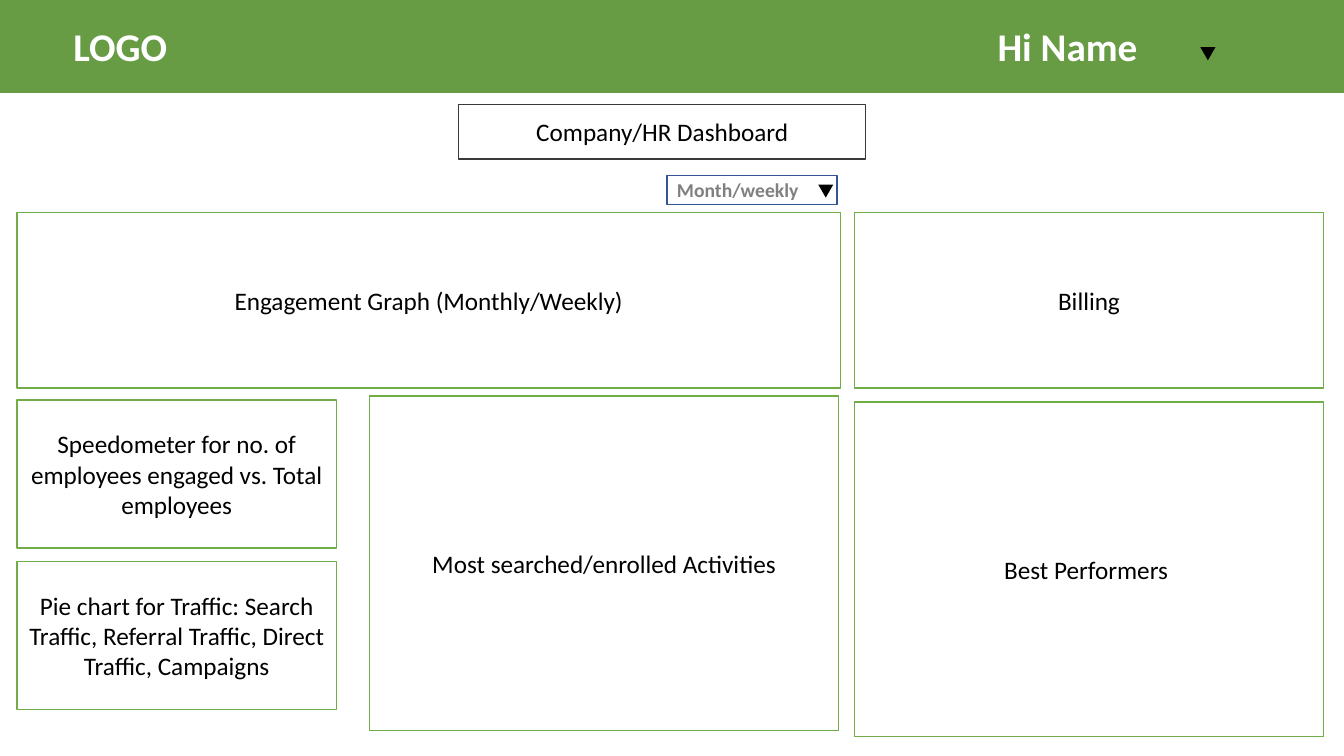
"""Build the wireframe slide of a company and HR dashboard."""
from dataclasses import dataclass

from pptx import Presentation
from pptx.dml.color import RGBColor
from pptx.enum.shapes import MSO_SHAPE
from pptx.enum.text import MSO_ANCHOR, MSO_AUTO_SIZE, PP_ALIGN
from pptx.shapes.autoshape import Shape
from pptx.slide import Slide
from pptx.util import Cm, Pt

RECTANGLE = MSO_SHAPE.RECTANGLE
TRIANGLE = MSO_SHAPE.ISOSCELES_TRIANGLE
MIDDLE = MSO_ANCHOR.MIDDLE
FIT_SHAPE = MSO_AUTO_SIZE.SHAPE_TO_FIT_TEXT
LEFT, CENTER = PP_ALIGN.LEFT, PP_ALIGN.CENTER


@dataclass(frozen=True)
class Theme:
    """Colours, font and type sizes of the slide."""

    font: str = "Calibri"
    banner: str = "689C44"
    panel_line: str = "70AD47"
    title_line: str = "3B3838"
    picker_line: str = "325491"
    white: str = "FFFFFF"
    black: str = "000000"
    grey: str = "808080"
    banner_size: int = 28
    body_size: int = 18
    picker_size: int = 14
    line_width: int = 1


THEME = Theme()


@dataclass(frozen=True)
class Box:
    """A position and size in centimetres."""

    left: float
    top: float
    width: float
    height: float

    def lengths(self) -> tuple[Cm, Cm, Cm, Cm]:
        """Return the four measures as lengths."""
        return Cm(self.left), Cm(self.top), Cm(self.width), Cm(self.height)


@dataclass(frozen=True)
class Panel:
    """An outlined box with one line of meaning in it."""

    text: str
    box: Box
    line: str = THEME.panel_line
    size: int = THEME.body_size
    color: str = THEME.black
    bold: bool = False
    align: PP_ALIGN = CENTER


SLIDE_WIDTH, SLIDE_HEIGHT = 33.87, 19.05
BANNER = Box(0, 0, SLIDE_WIDTH, 2.34)
BANNER_LABELS = {"LOGO": 1.6, "Hi Name": 24.89}
LABEL_TOP, LABEL_WIDTH, LABEL_HEIGHT = 0.43, 5.11, 1.45
ARROWS = (Box(30.25, 1.19, 0.38, 0.33), Box(20.62, 4.65, 0.38, 0.33))

MARGIN, RIGHT_COLUMN = 0.43, 21.54
TOP_ROW, TOP_HEIGHT = 5.36, 4.42
WIDE, TALL = 11.81, 8.43
GAUGE_WIDTH, GAUGE_HEIGHT = 8.05, 3.73

PANELS = (
    Panel("Company/HR Dashboard", Box(11.56, 2.64, 10.26, 1.37), THEME.title_line),
    Panel("Engagement Graph (Monthly/Weekly)", Box(MARGIN, TOP_ROW, 20.75, TOP_HEIGHT)),
    Panel("Month/weekly", Box(16.81, 4.42, 4.29, 0.74), THEME.picker_line,
          THEME.picker_size, THEME.grey, True, LEFT),
    Panel("Speedometer for no. of employees engaged vs. Total employees",
          Box(MARGIN, 10.08, GAUGE_WIDTH, GAUGE_HEIGHT)),
    Panel("Most searched/enrolled Activities", Box(9.32, 9.98, WIDE, TALL)),
    Panel("Best Performers ", Box(RIGHT_COLUMN, 10.13, WIDE, TALL)),
    Panel("Pie chart for Traffic: Search Traffic, Referral Traffic, "
          "Direct Traffic, Campaigns", Box(MARGIN, 14.15, GAUGE_WIDTH, GAUGE_HEIGHT)),
    Panel("Billing", Box(RIGHT_COLUMN, TOP_ROW, WIDE, TOP_HEIGHT)),
)


def write(shape: Shape, text: str, size: int, color: str, bold: bool, align: PP_ALIGN) -> None:
    """Set and format the text of a shape."""
    frame = shape.text_frame
    frame.text = text
    frame.word_wrap = True
    paragraph = frame.paragraphs[0]
    paragraph.alignment = align
    font = paragraph.runs[0].font
    font.name, font.size, font.bold = THEME.font, Pt(size), bold
    font.color.rgb = RGBColor.from_string(color)


def add_filled(slide: Slide, preset: MSO_SHAPE, box: Box, fill: str) -> Shape:
    """Add a flat preset shape without an outline."""
    shape = slide.shapes.add_shape(preset, *box.lengths())
    shape.shadow.inherit = False
    shape.fill.solid()
    shape.fill.fore_color.rgb = RGBColor.from_string(fill)
    shape.line.fill.background()
    return shape


def add_panel(slide: Slide, panel: Panel) -> None:
    """Add an outlined panel with its text."""
    shape = add_filled(slide, RECTANGLE, panel.box, THEME.white)
    shape.line.color.rgb = RGBColor.from_string(panel.line)
    shape.line.width = Pt(THEME.line_width)
    write(shape, panel.text, panel.size, panel.color, panel.bold, panel.align)
    shape.text_frame.vertical_anchor = MIDDLE


def add_banner_label(slide: Slide, text: str, left: float) -> None:
    """Add a heading on the banner."""
    box = Box(left, LABEL_TOP, LABEL_WIDTH, LABEL_HEIGHT)
    label = slide.shapes.add_textbox(*box.lengths())
    write(label, text, THEME.banner_size, THEME.white, True, LEFT)
    label.text_frame.auto_size = FIT_SHAPE


def main() -> None:
    """Build and save the presentation."""
    presentation = Presentation()
    presentation.slide_width = Cm(SLIDE_WIDTH)
    presentation.slide_height = Cm(SLIDE_HEIGHT)
    slide = presentation.slides.add_slide(presentation.slide_layouts[6])
    add_filled(slide, RECTANGLE, BANNER, THEME.banner)
    for text, left in BANNER_LABELS.items():
        add_banner_label(slide, text, left)
    for panel in PANELS:
        add_panel(slide, panel)
    for box in ARROWS:
        add_filled(slide, TRIANGLE, box, THEME.black).rotation = 180
    presentation.save("out.pptx")


if __name__ == "__main__":
    main()
